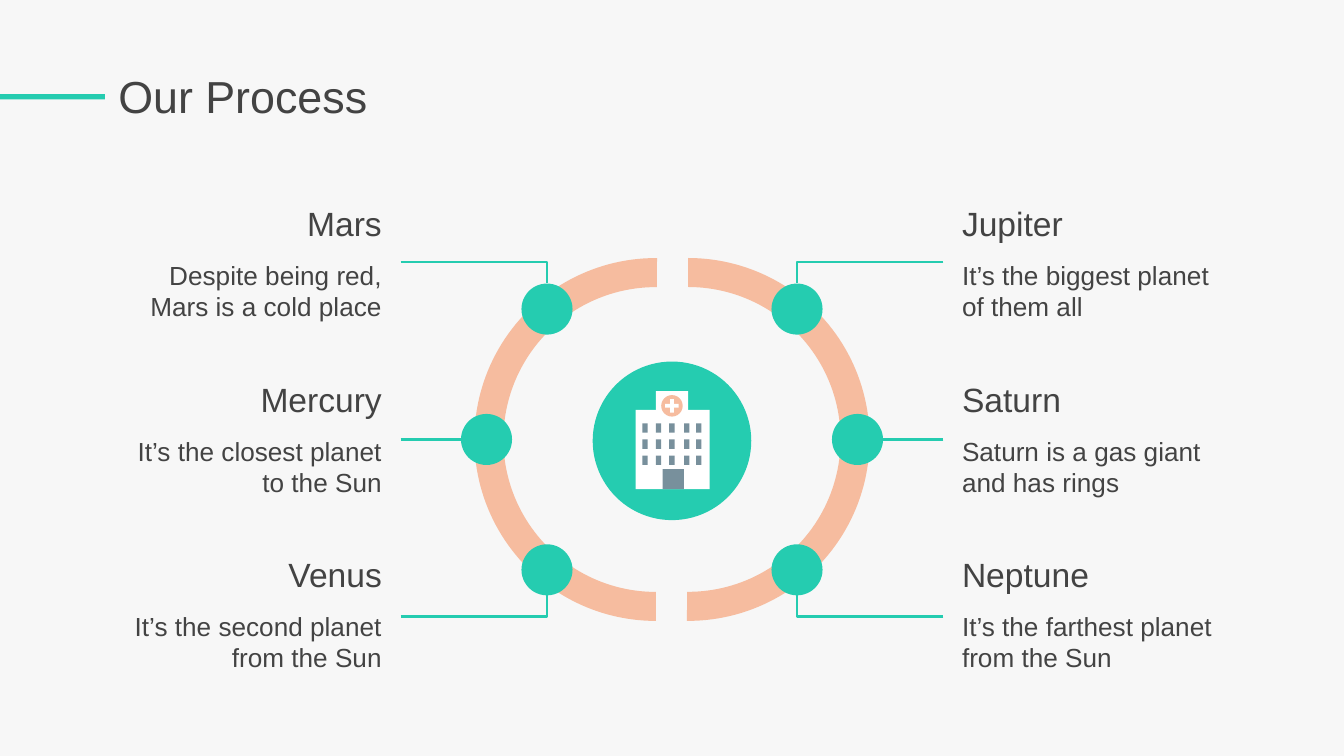
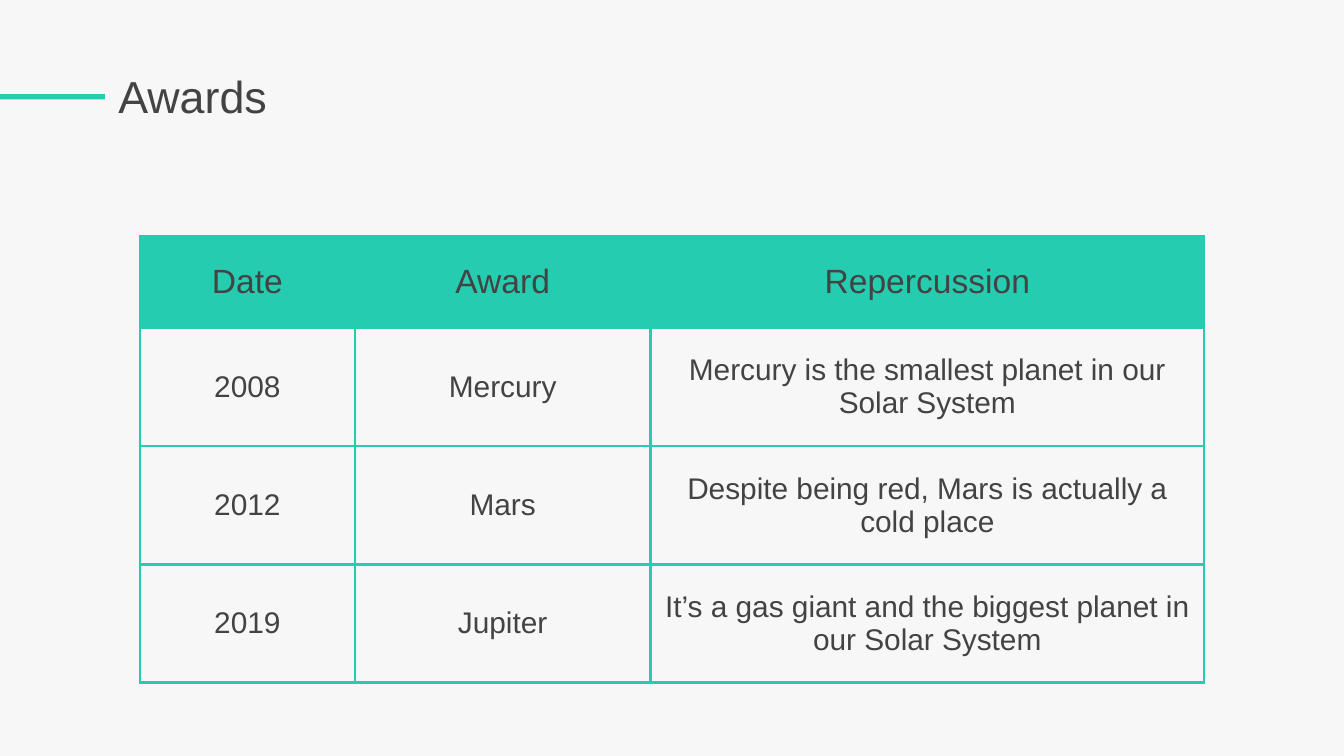
from lxml import etree
from pptx import Presentation
from pptx.dml.color import RGBColor
from pptx.enum.shapes import MSO_CONNECTOR as Link, MSO_SHAPE as Kind
from pptx.enum.text import MSO_ANCHOR as Anchor, MSO_AUTO_SIZE as Fit, PP_ALIGN as Align
from pptx.oxml.ns import qn
from pptx.util import Inches, Pt

MINT, PEACH, STEEL = "25CCB0", "F6BC9F", "78909C"
WHITE, PAPER, INK = "FFFFFF", "F7F7F7", "434343"
FONT = "Arial"
WIDE = 10
HIGH = WIDE * 9 / 16
MID = WIDE / 2

STEPS = {
    -1: [("Mars", "Despite being red, Mars is a cold place"),
         ("Mercury", "It’s the closest planet to the Sun"),
         ("Venus", "It’s the second planet from the Sun")],
    1: [("Jupiter", "It’s the biggest planet of them all"),
        ("Saturn", "Saturn is a gas giant and has rings"),
        ("Neptune", "It’s the farthest planet from the Sun")],
}
DOTS = [(0.93, 2.3), (1.38, 3.27), (0.93, 4.24)]
HEADS = [1.41, 2.72, 4.02]
LEADS = [1.95, 3.27, 4.59]
DOT = 0.38

AWARDS = [
    ("Date", "Award", "Repercussion"),
    ("2008", "Mercury", "Mercury is the smallest planet in our Solar System"),
    ("2012", "Mars", "Despite being red, Mars is actually a cold place"),
    ("2019", "Jupiter", "It’s a gas giant and the biggest planet in our Solar System"),
]
COLS = [1.6, 2.2, 4.12]
ROWS = [0.68, 0.88, 0.88, 0.88]

HOUSE = [(4.73, 3.05, 0.55, 0.59), (4.88, 2.91, 0.24, 0.28)]
PANES = [(x, y, 0.04, 0.07) for y in (3.15, 3.27, 3.39)
         for x in (4.78, 4.88, 4.98, 5.09, 5.18)]
DOOR = (4.93, 3.49, 0.16, 0.15)


def tint(code):
    return RGBColor.from_string(code)


def span(*nums):
    return [Inches(n) for n in nums]


def draw(shapes, kind, box, color):
    shape = shapes.add_shape(kind, *span(*box))
    shape.shadow.inherit = False
    shape.fill.solid()
    shape.fill.fore_color.rgb = tint(color)
    shape.line.fill.background()
    return shape


def style(para, size, align):
    para.alignment = align
    for key, val in {"name": FONT, "size": Pt(size), "bold": False}.items():
        setattr(para.font, key, val)
    para.font.color.rgb = tint(INK)


def write(shape, text, size, align=Align.LEFT, anchor=Anchor.TOP):
    frame = shape.text_frame
    frame.text = text
    form = {"word_wrap": True, "auto_size": Fit.NONE, "vertical_anchor": anchor}
    form |= {f"margin_{side}": Inches(0.1)
             for side in ("left", "top", "right", "bottom")}
    for key, val in form.items():
        setattr(frame, key, val)
    style(frame.paragraphs[0], size, align)


def start(deck, name):
    slide = deck.slides.add_slide(deck.slide_layouts[5])
    draw(slide.shapes, Kind.RECTANGLE, (0, 0.7, 0.78, 0.04), MINT)
    title = slide.shapes.title
    box = zip(("left", "top", "width", "height"), span(0.78, 0.41, 8.79, 0.63))
    for key, val in box:
        setattr(title, key, val)
    write(title, name, 24)
    return slide


def lead(shapes, kind, ends):
    line = shapes.add_connector(kind, *span(*ends))
    line.line.color.rgb = tint(MINT)
    line.line.width = Pt(1.5)
    props = line._element.spPr
    if kind == Link.ELBOW:
        props.find(qn("a:prstGeom")).set("prst", "bentConnector2")
    etree.SubElement(props, qn("a:effectLst"))


def clinic(slide):
    draw(slide.shapes, Kind.OVAL, (4.41, 2.69, 1.18, 1.18), MINT)
    shapes = slide.shapes.add_group_shape().shapes
    for box in HOUSE:
        draw(shapes, Kind.RECTANGLE, box, WHITE)
    for box in PANES + [DOOR]:
        draw(shapes, Kind.RECTANGLE, box, STEEL)
    draw(shapes, Kind.OVAL, (4.92, 2.94, 0.16, 0.16), PEACH)
    cross = draw(shapes, Kind.CROSS, (4.95, 2.97, 0.1, 0.1), WHITE)
    cross.adjustments[0] = 0.36


def process(deck):
    slide = start(deck, "Our Process")
    shapes = slide.shapes
    for side in STEPS:
        box = (MID + side * 0.12 - 1.35, 1.92, 2.7, 2.7)
        arc = draw(shapes, Kind.BLOCK_ARC, box, PEACH)
        arc.rotation = side * 90 % 360
        for i, val in enumerate((108, 0.23, 0.08)):
            arc.adjustments[i] = val
    clinic(slide)
    for side, steps in STEPS.items():
        align = Align.RIGHT if side < 0 else Align.LEFT
        left = 0.87 if side < 0 else 7.06
        far = MID + side * 2.02
        for (name, note), (gap, y), top, level in zip(steps, DOTS, HEADS, LEADS):
            x = MID + side * gap
            draw(shapes, Kind.OVAL, (x - DOT / 2, y - DOT / 2, DOT, DOT), MINT)
            if level == y:
                lead(shapes, Link.STRAIGHT, (far, y, x + side * DOT / 2, y))
            else:
                edge = y + (DOT if level > y else -DOT) / 2
                lead(shapes, Link.ELBOW, (far, level, x, edge))
            head = shapes.add_textbox(*span(left, top, 2.07, 0.5))
            write(head, name, 18, align, Anchor.MIDDLE)
            body = shapes.add_textbox(*span(left, top + 0.42, 2.07, 0.63))
            write(body, note, 14, align)


def border(cell):
    props = cell._tc.get_or_add_tcPr()
    for side in "LRTB":
        line = etree.SubElement(props, qn(f"a:ln{side}"), w=str(Pt(1.5)))
        fill = etree.SubElement(line, qn("a:solidFill"))
        etree.SubElement(fill, qn("a:srgbClr"), val=MINT)


def awards(deck):
    slide = start(deck, "Awards")
    box = span(1.04, 1.76, sum(COLS), sum(ROWS))
    table = slide.shapes.add_table(len(ROWS), len(COLS), *box).table
    table.first_row = table.horz_banding = False
    for col, width in zip(table.columns, COLS):
        col.width = Inches(width)
    for r, (row, tall) in enumerate(zip(table.rows, ROWS)):
        row.height = Inches(tall)
        for cell, text in zip(row.cells, AWARDS[r]):
            cell.text = text
            cell.vertical_anchor = Anchor.MIDDLE
            for side in ("left", "top", "right", "bottom"):
                setattr(cell, f"margin_{side}", Inches(0.1))
            style(cell.text_frame.paragraphs[0], 16 if r else 18, Align.CENTER)
            border(cell)
            if r:
                cell.fill.background()
            else:
                cell.fill.solid()
                cell.fill.fore_color.rgb = tint(MINT)


def main():
    deck = Presentation()
    deck.slide_width, deck.slide_height = span(WIDE, HIGH)
    back = deck.slide_master.background.fill
    back.solid()
    back.fore_color.rgb = tint(PAPER)
    process(deck)
    awards(deck)
    deck.save("out.pptx")


if __name__ == "__main__":
    main()
